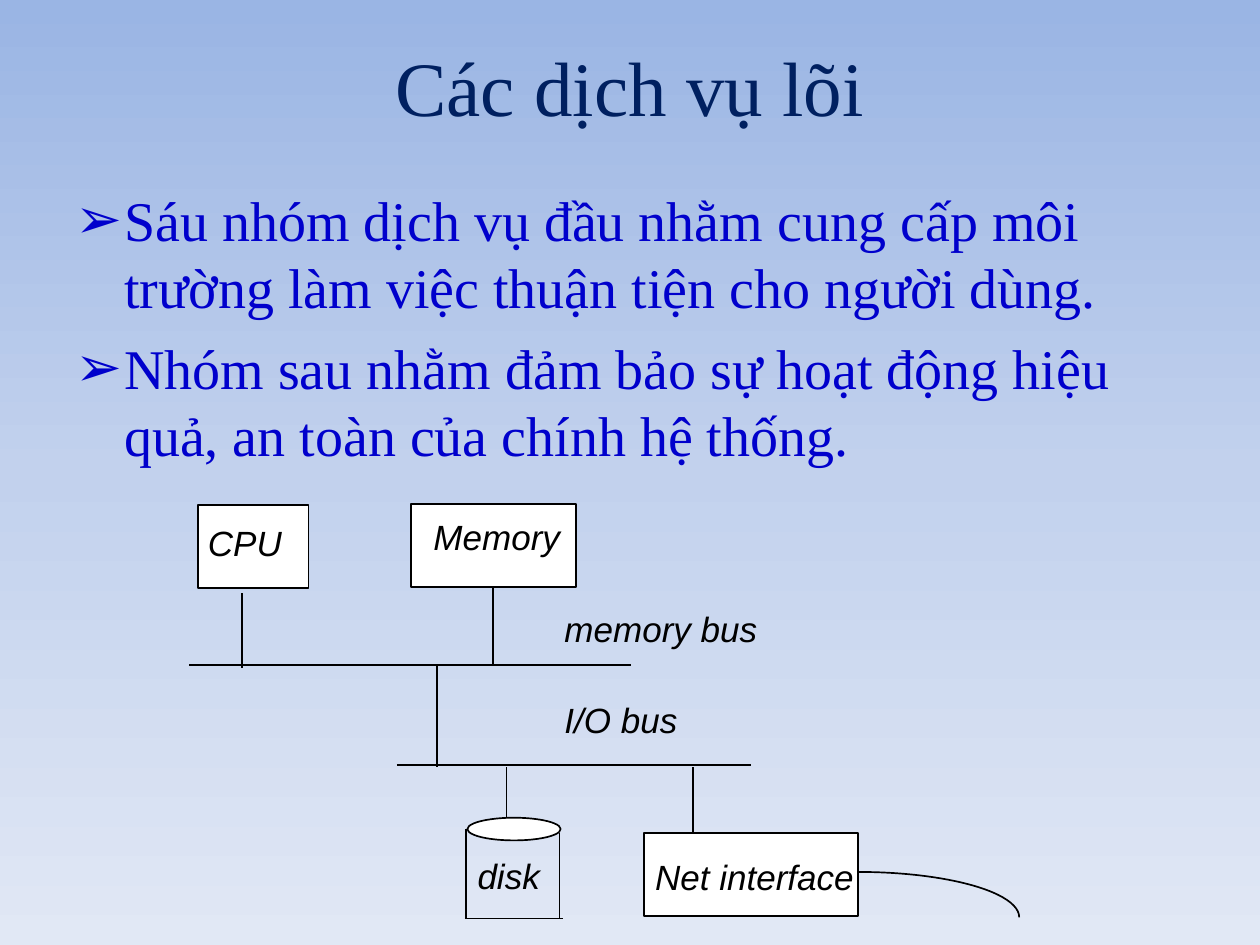
from copy import deepcopy
from dataclasses import dataclass

from lxml import etree
from pptx import Presentation
from pptx.dml.color import RGBColor
from pptx.enum.shapes import MSO_CONNECTOR, MSO_SHAPE
from pptx.enum.text import MSO_ANCHOR, MSO_AUTO_SIZE, PP_ALIGN
from pptx.oxml.ns import qn
from pptx.util import Emu, Inches, Pt

STRAIGHT = MSO_CONNECTOR.STRAIGHT
RECTANGLE, OVAL, ARC = MSO_SHAPE.RECTANGLE, MSO_SHAPE.OVAL, MSO_SHAPE.ARC
TOP, MIDDLE = MSO_ANCHOR.TOP, MSO_ANCHOR.MIDDLE
LEFT, CENTER = PP_ALIGN.LEFT, PP_ALIGN.CENTER
NO_AUTOFIT = MSO_AUTO_SIZE.NONE

BLACK = RGBColor(0x00, 0x00, 0x00)
WHITE = RGBColor(0xFF, 0xFF, 0xFF)
NAVY = RGBColor(0x00, 0x20, 0x60)
BLUE = RGBColor(0x00, 0x00, 0xCC)
SKY_TOP = RGBColor(0x9A, 0xB5, 0xE4)
SKY_MIDDLE = RGBColor(0xC2, 0xD1, 0xED)
SKY_BOTTOM = RGBColor(0xE1, 0xE8, 0xF5)

SERIF, SANS = "Times New Roman", "Arial"
LINE_WIDTH = Pt(0.96)
CELL = Inches(0.1)  # the slide is a grid of 100 columns by 75 rows
COLUMNS, ROWS = 100, 75
BULLET_INDENT = 3.85
MEMORY_BUS, IO_BUS = 52.8, 60.7  # rows of the two buses
DISK_BOTTOM = 72.9


@dataclass(frozen=True)
class Area:
    column: float
    row: float
    width: float
    height: float


@dataclass(frozen=True)
class Device:
    name: str
    area: Area
    inset_left: float
    inset_top: float


@dataclass(frozen=True)
class Wire:
    start: tuple[float, float]
    end: tuple[float, float]


CPU = Device("CPU", Area(15.7, 40.1, 8.8, 6.6), 0.8, 1.3)
MEMORY = Device("Memory", Area(32.6, 40, 13.1, 6.6), 1.8, 0.9)
NETWORK = Device("Net interface", Area(51.1, 66.1, 17, 6.6), 0.9, 1.8)

WIRES = [
    Wire((15, MEMORY_BUS), (50.1, MEMORY_BUS)),
    Wire((31.5, IO_BUS), (59.6, IO_BUS)),
    Wire((19.2, 47.1), (19.2, 53)),
    Wire((34.7, MEMORY_BUS), (34.7, 60.9)),
    Wire((40.2, 60.9), (40.2, 64.9)),
    Wire((55, 60.9), (55, 66.3)),
    Wire((37, 65.8), (37, DISK_BOTTOM)),
    Wire((44.4, 66.1), (44.4, DISK_BOTTOM)),
    Wire((36.9, DISK_BOTTOM), (44.7, DISK_BOTTOM)),
]


def cells(count: float) -> Emu:
    return Emu(round(count * CELL))


def place(shape, area: Area) -> None:
    shape.left, shape.top = cells(area.column), cells(area.row)
    shape.width, shape.height = cells(area.width), cells(area.height)


def write(shape, *lines: str, font: str = SANS, size: float = 20,
          color: RGBColor = BLACK, italic: bool = True, align=LEFT,
          anchor=TOP, insets: tuple[float, float, float, float] = (0, 0.1, 0, 0),
          gap: float = 0) -> None:
    """Put one paragraph per line; insets are left, top, right, bottom in cells."""
    frame = shape.text_frame
    frame.word_wrap = True
    frame.auto_size = NO_AUTOFIT
    frame.vertical_anchor = anchor
    (frame.margin_left, frame.margin_top,
     frame.margin_right, frame.margin_bottom) = map(cells, insets)
    for index, line in enumerate(lines):
        para = frame.add_paragraph() if index else frame.paragraphs[0]
        para.alignment = align
        para.space_before = Pt(gap if index else 0)
        span = para.add_run()
        span.text = line
        span.font.name, span.font.size = font, Pt(size)
        span.font.color.rgb, span.font.italic = color, italic


def add_bullets(shape, mark: str) -> None:
    for para in shape.text_frame.paragraphs:
        properties = para._p.get_or_add_pPr()
        properties.set("marL", str(cells(BULLET_INDENT)))
        properties.set("indent", str(-cells(BULLET_INDENT)))
        etree.SubElement(properties, qn("a:buChar")).set("char", mark)


def paint_background(slide) -> None:
    fill = slide.background.fill
    fill.gradient()
    fill.gradient_angle = 270
    stops = slide.element.find(".//" + qn("a:gsLst"))
    stops.insert(1, deepcopy(stops[0]))
    colors = (SKY_TOP, SKY_MIDDLE, SKY_BOTTOM)
    for stop, color, position in zip(fill.gradient_stops, colors, (0, 0.5, 1)):
        stop.color.rgb, stop.position = color, position


def add_outlined(slide, kind, area: Area, filled: bool = True):
    shape = slide.shapes.add_shape(kind, 0, 0, 0, 0)
    place(shape, area)
    shape.shadow.inherit = False
    if filled:
        shape.fill.solid()
        shape.fill.fore_color.rgb = WHITE
    else:
        shape.fill.background()
    shape.line.color.rgb, shape.line.width = BLACK, LINE_WIDTH
    return shape


def add_device(slide, device: Device):
    box = add_outlined(slide, RECTANGLE, device.area)
    write(box, device.name, insets=(device.inset_left, device.inset_top, 0, 0))
    return box


def add_wire(slide, wire: Wire):
    line = slide.shapes.add_connector(
        STRAIGHT, *map(cells, wire.start), *map(cells, wire.end))
    line.line.color.rgb, line.line.width = BLACK, LINE_WIDTH
    etree.SubElement(line._element.spPr, qn("a:effectLst"))
    return line


def add_label(slide, area: Area, *lines: str, gap: float = 0) -> None:
    box = slide.shapes.add_textbox(0, 0, 0, 0)
    place(box, area)
    write(box, *lines, gap=gap)


def main() -> None:
    deck = Presentation()
    deck.slide_width, deck.slide_height = cells(COLUMNS), cells(ROWS)
    slide = deck.slides.add_slide(deck.slide_layouts[1])
    paint_background(slide)

    title, body = slide.placeholders
    place(title, Area(5, 3, 90, 7.5))
    write(title, "Các dịch vụ lõi", font=SERIF, size=44, color=NAVY,
          italic=False, align=CENTER, anchor=MIDDLE)
    place(body, Area(5, 14.2, 90, 59.2))
    write(body,
          "Sáu nhóm dịch vụ đầu nhằm cung cấp môi trường làm việc "
          "thuận tiện cho người dùng.",
          "Nhóm sau nhằm đảm bảo sự hoạt động hiệu quả, an toàn "
          "của chính hệ thống.",
          font=SERIF, size=32, color=BLUE, italic=False,
          insets=(1, 0.5, 1, 0.5), gap=7.7)
    add_bullets(body, "➢")

    add_device(slide, CPU)
    memory_box = add_device(slide, MEMORY)
    for wire in WIRES:
        add_wire(slide, wire)
    memory_middle = MEMORY.area.column + MEMORY.area.width / 2
    memory_wire = add_wire(slide, Wire((memory_middle, 46.6),
                                       (memory_middle, MEMORY_BUS)))
    memory_wire.begin_connect(memory_box, 2)
    add_label(slide, Area(44.8, 48.1, 15.8, 10.6), "memory bus", "I/O bus", gap=28.4)

    add_outlined(slide, OVAL, Area(37.1, 64.9, 7.4, 1.8))
    add_label(slide, Area(37.9, 67.7, 5.4, 3.6), "disk")
    add_device(slide, NETWORK)
    # The network cable is the upper right quarter of an ellipse.
    add_outlined(slide, ARC, Area(55.3, 69.2, 25.6, 7.2), filled=False)

    deck.save("out.pptx")


if __name__ == "__main__":
    main()
